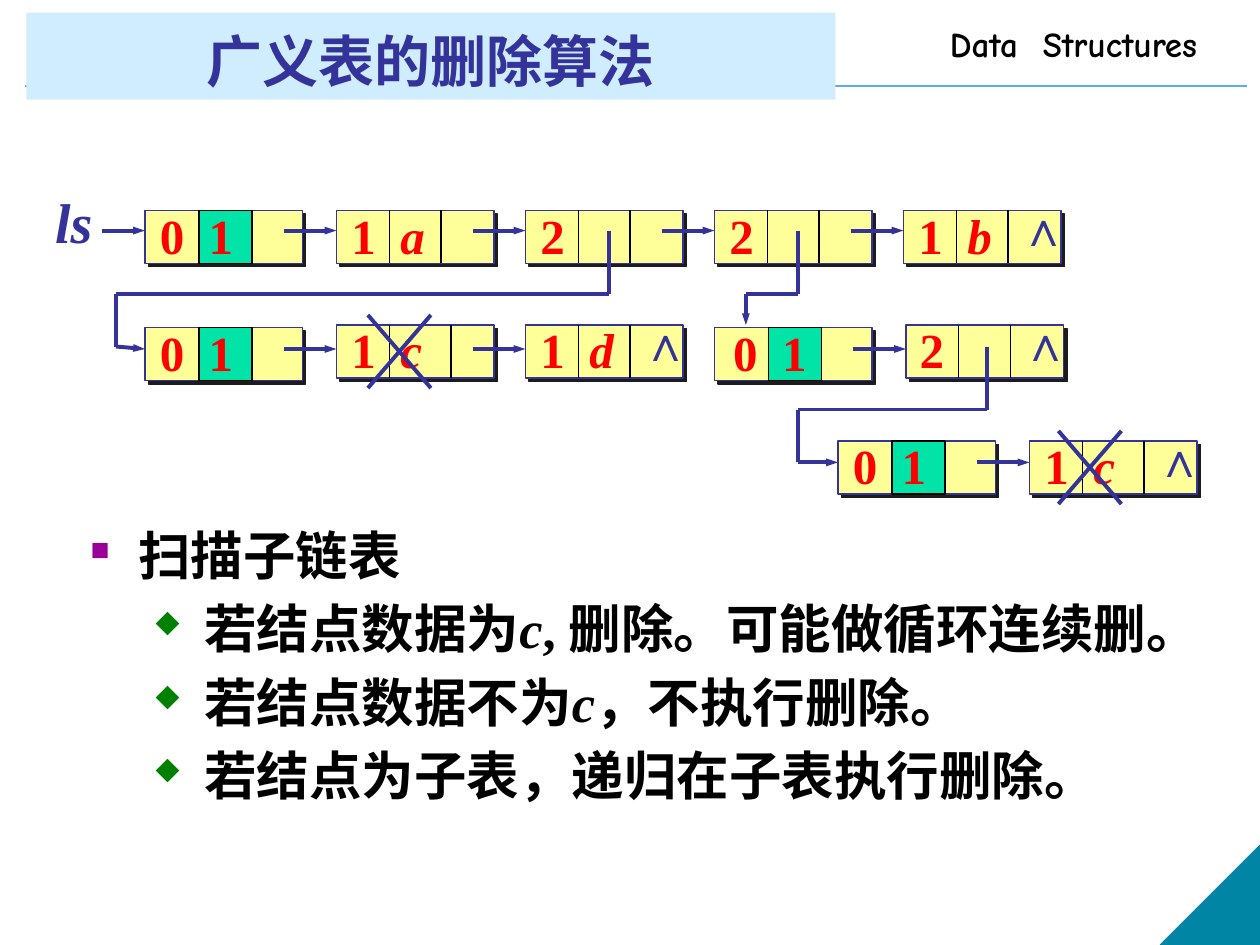
from dataclasses import dataclass
from itertools import pairwise

from lxml import etree
from pptx import Presentation
from pptx.dml.color import RGBColor
from pptx.enum import shapes, text
from pptx.oxml.ns import qn
from pptx.util import Inches, Pt


@dataclass(frozen=True)
class Theme:
    ink: str = "333399"
    red: str = "FF0000"
    black: str = "000000"
    node: str = "FFFF99"
    mark: str = "00E4A8"
    shade: str = "1C1C1C"
    banner: str = "CFEDFE"
    rule: str = "5AAAED"
    corner: str = "0085A4"
    serif: str = "Times New Roman"
    heading: str = "Karla"
    comic: str = "Comic Neue"
    symbols: str = "Wingdings"
    course_size: int = 20
    label_size: int = 28
    body_size: int = 30
    title_size: int = 32


THEME = Theme()
CELL, HEIGHT = 0.42, 0.42
THIRDS, WIDE_MIDDLE, AROUND_MARK = (0.42, 0.83), (0.42, 0.91), (0.43, 0.85)
HEAD = "0  1"

# left, top, width, dividers, number, letter, label left, ends the list
NODES = [
    (1.15, 1.67, 1.25, AROUND_MARK, HEAD, "", 1.17, False),
    (2.67, 1.67, 1.25, THIRDS, "1  ", "a", 2.69, False),
    (4.17, 1.67, 1.25, THIRDS, "2", "", 4.19, False),
    (5.67, 1.67, 1.25, THIRDS, "2", "", 5.69, False),
    (7.17, 1.67, 1.25, THIRDS, "1  ", "b", 7.19, True),
    (1.15, 2.6, 1.25, (), HEAD, "", 1.17, False),
    (2.67, 2.58, 1.25, WIDE_MIDDLE, "1  ", "c", 2.69, False),
    (4.17, 2.58, 1.25, THIRDS, "1  ", "d", 4.19, True),
    (5.67, 2.6, 1.25, (), HEAD, "", 5.72, False),
    (7.19, 2.58, 1.25, THIRDS, "2", "", 7.2, True),
    (6.65, 3.5, 1.25, (), HEAD, "", 6.67, False),
    (8.17, 3.5, 1.33, WIDE_MIDDLE, "1  ", "c", 8.19, True),
]
NEXT_LINKS = [
    (1.83, [(0.81, 1.15), (2.25, 2.67), (3.75, 4.17), (5.25, 5.67), (6.75, 7.17)]),
    (2.77, [(2.25, 2.67), (3.75, 4.17), (6.77, 7.19)]),
    (3.67, [(7.75, 8.17)]),
]
SUBLIST_ROUTES = [
    [(4.83, 1.83), (4.83, 2.33), (0.92, 2.33), (0.92, 2.75), (1.15, 2.77)],
    [(6.33, 1.83), (6.33, 2.33), (5.92, 2.33), (5.92, 2.58)],
    [(7.83, 2.75), (7.83, 3.25), (6.33, 3.25), (6.33, 3.67), (6.65, 3.67)],
]
DELETED = [(2.92, 2.5), (8.4, 3.42)]
CROSS_WIDTH, CROSS_HEIGHT = 0.5, 0.58

TOP_BULLET = ("n", "990099", 50, 0.38, -0.38)
SUB_BULLET = ("u", "008000", 55, 0.81, -0.31)
BODY = [
    (0, TOP_BULLET, [("扫描子链表", False)]),
    (1, SUB_BULLET, [(" 若结点数据为", False), ("c", True), (", 删除。可能做循环连续删。", False)]),
    (1, SUB_BULLET, [(" 若结点数据不为", False), ("c", True), ("，不执行删除。", False)]),
    (1, SUB_BULLET, [(" 若结点为子表，递归在子表执行删除。", False)]),
]


def color(value):
    return RGBColor.from_string(value)


def add_xml(parent, tag, **attributes):
    return etree.SubElement(parent, qn(tag), attributes)


def add_line(page, start, end, line_color, width, arrow=False):
    line = page.shapes.add_connector(
        shapes.MSO_CONNECTOR.STRAIGHT, *(Inches(value) for value in (*start, *end)))
    line.line.color.rgb = color(line_color)
    line.line.width = Pt(width)
    if arrow:
        add_xml(line.line._get_or_add_ln(), "a:tailEnd", type="triangle", w="sm", len="med")
    add_xml(line._element.spPr, "a:effectLst")


def add_block(page, kind, place, fill, outline=None):
    block = page.shapes.add_shape(kind, *map(Inches, place))
    block.fill.solid()
    block.fill.fore_color.rgb = color(fill)
    if outline:
        block.line.color.rgb = color(outline)
        block.line.width = Pt(0.75)
    else:
        block.line.fill.background()
    block.shadow.inherit = False
    return block


def add_shadow(block):
    effects = block._element.spPr.find(qn("a:effectLst"))
    shadow = add_xml(effects, "a:outerShdw", dist=str(int(Pt(2.8))), dir="2700000", algn="ctr", rotWithShape="0")
    add_xml(shadow, "a:srgbClr", val=THEME.shade)


def add_span(para, words, size, font_color, face, italic=False):
    span = para.add_run()
    span.text = words
    font = span.font
    font.size, font.name, font.bold, font.italic = Pt(size), face, True, italic
    font.color.rgb = color(font_color)


def add_label(page, place, spans, size, font_color, face=THEME.serif, wrap=False):
    box = page.shapes.add_textbox(*map(Inches, place))
    box.text_frame.word_wrap = wrap
    box.text_frame.auto_size = text.MSO_AUTO_SIZE.SHAPE_TO_FIT_TEXT
    for words, italic in spans:
        add_span(box.text_frame.paragraphs[0], words, size, font_color, face, italic)


def add_node(page, left, top, width, dividers, number, letter, label_left, last):
    rectangle = shapes.MSO_SHAPE.RECTANGLE
    is_head = number == HEAD
    add_shadow(add_block(page, rectangle, (left, top, width, HEIGHT), THEME.node, THEME.ink))
    for offset in dividers:
        add_line(page, (left + offset, top), (left + offset, top + HEIGHT),
                 THEME.ink if is_head else THEME.black, 0.75)
    if is_head:
        add_block(page, rectangle, (left + 0.43, top, CELL, HEIGHT), THEME.mark, THEME.black)
    spans = [(number, False)] + ([(letter, True)] if letter else [])
    label_width = 0.78 if len(number) > 1 else 0.4
    add_label(page, (label_left, top - 0.09, label_width, 0.57), spans, THEME.label_size, THEME.red)
    if last:
        add_label(page, (left + width - 0.43, top - 0.15, 0.44, 0.57), [("∧", False)],
                  THEME.label_size, THEME.ink)


def add_body(page):
    box = page.shapes.add_textbox(*map(Inches, (0.62, 4.1, 9, 3.1)))
    frame = box.text_frame
    frame.word_wrap = True
    for index, (level, bullet, spans) in enumerate(BODY):
        para = frame.add_paragraph() if index else frame.paragraphs[0]
        para.level = level
        if index:
            para.space_before = Pt(THEME.body_size * 0.2)
        symbol, bullet_color, percent, margin, indent = bullet
        properties = para._p.get_or_add_pPr()
        properties.set("marL", str(Inches(margin)))
        properties.set("indent", str(Inches(indent)))
        properties.set("hangingPunct", "0")
        add_xml(add_xml(properties, "a:buClr"), "a:srgbClr", val=bullet_color)
        add_xml(properties, "a:buSzPct", val=str(percent * 1000))
        add_xml(properties, "a:buFont", typeface=THEME.symbols, charset="2")
        add_xml(properties, "a:buChar", char=symbol)
        for words, italic in spans:
            add_span(para, words, THEME.body_size, THEME.black, THEME.serif, italic)


def main():
    deck = Presentation()
    deck.slide_width, deck.slide_height = Inches(10), Inches(7.5)
    page = deck.slides.add_slide(deck.slide_layouts[6])

    add_line(page, (0.2, 0.68), (9.9, 0.68), THEME.rule, 1)
    corner = add_block(page, shapes.MSO_SHAPE.RIGHT_TRIANGLE, (9.21, 6.71, 0.79, 0.79),
                       THEME.corner, THEME.corner)
    corner._element.spPr.xfrm.set("flipH", "1")
    add_label(page, (7.44, 0.13, 2.6, 0.43), [("Data  Structures", False)],
              THEME.course_size, THEME.black, THEME.comic, wrap=True)

    for node in NODES:
        add_node(page, *node)
    add_label(page, (0.34, 1.44, 0.5, 0.63), [("ls", True)], THEME.title_size, THEME.ink)
    for height, links in NEXT_LINKS:
        for start, end in links:
            add_line(page, (start, height), (end, height), THEME.ink, 2.25, arrow=True)
    for route in SUBLIST_ROUTES:
        for start, end in pairwise(route):
            add_line(page, start, end, THEME.ink, 2.25, arrow=end == route[-1])
    for left, top in DELETED:
        right, bottom = left + CROSS_WIDTH, top + CROSS_HEIGHT
        add_line(page, (left, top), (right, bottom), THEME.ink, 2.25)
        add_line(page, (right, top), (left, bottom), THEME.ink, 2.25)

    title = add_block(page, shapes.MSO_SHAPE.RECTANGLE, (0.21, 0.1, 6.42, 0.69), THEME.banner)
    title.text_frame.vertical_anchor = text.MSO_ANCHOR.BOTTOM
    para = title.text_frame.paragraphs[0]
    para.alignment = text.PP_ALIGN.CENTER
    add_span(para, "广义表的删除算法", THEME.title_size, THEME.ink, THEME.heading)
    add_body(page)

    deck.save("out.pptx")


if __name__ == "__main__":
    main()
